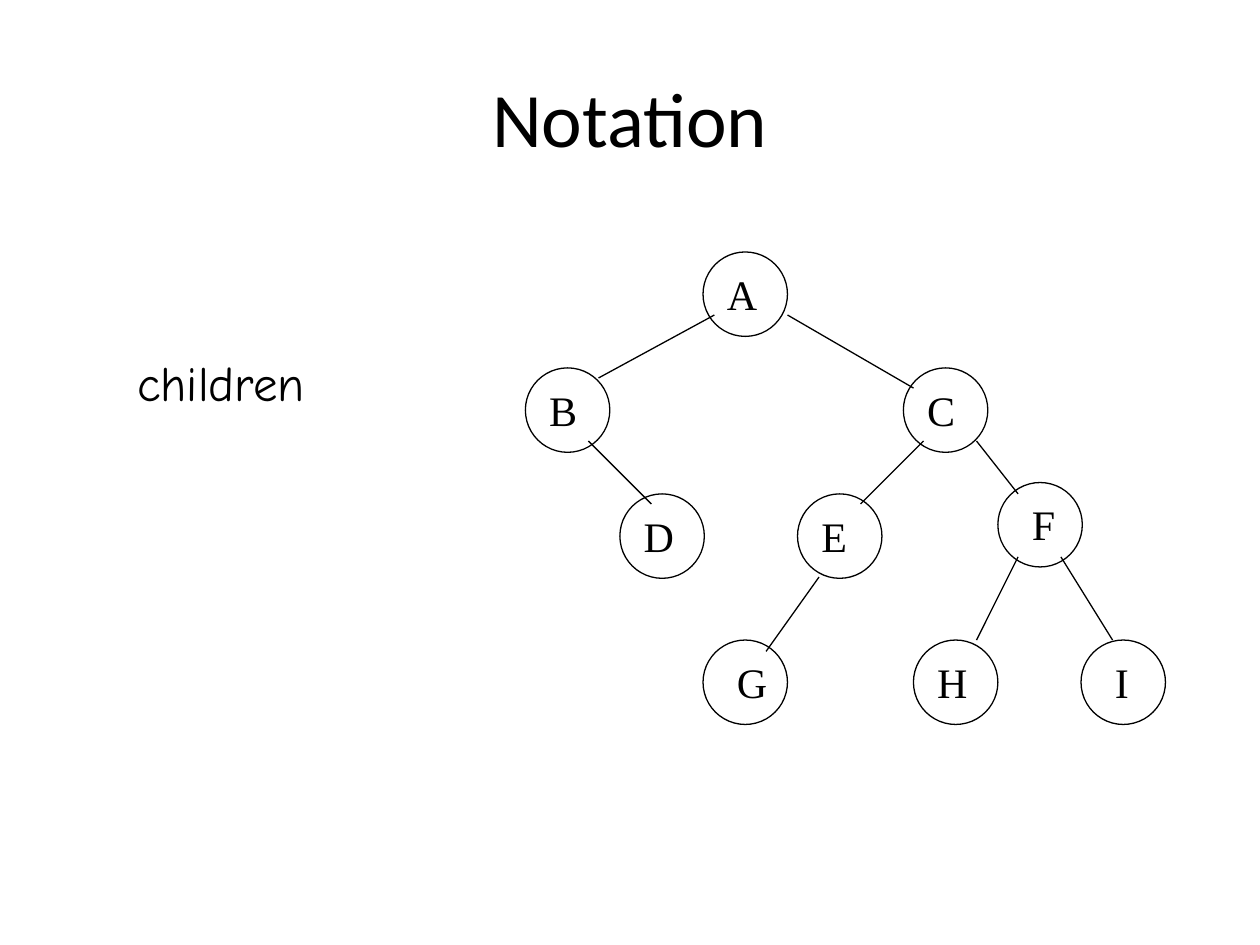
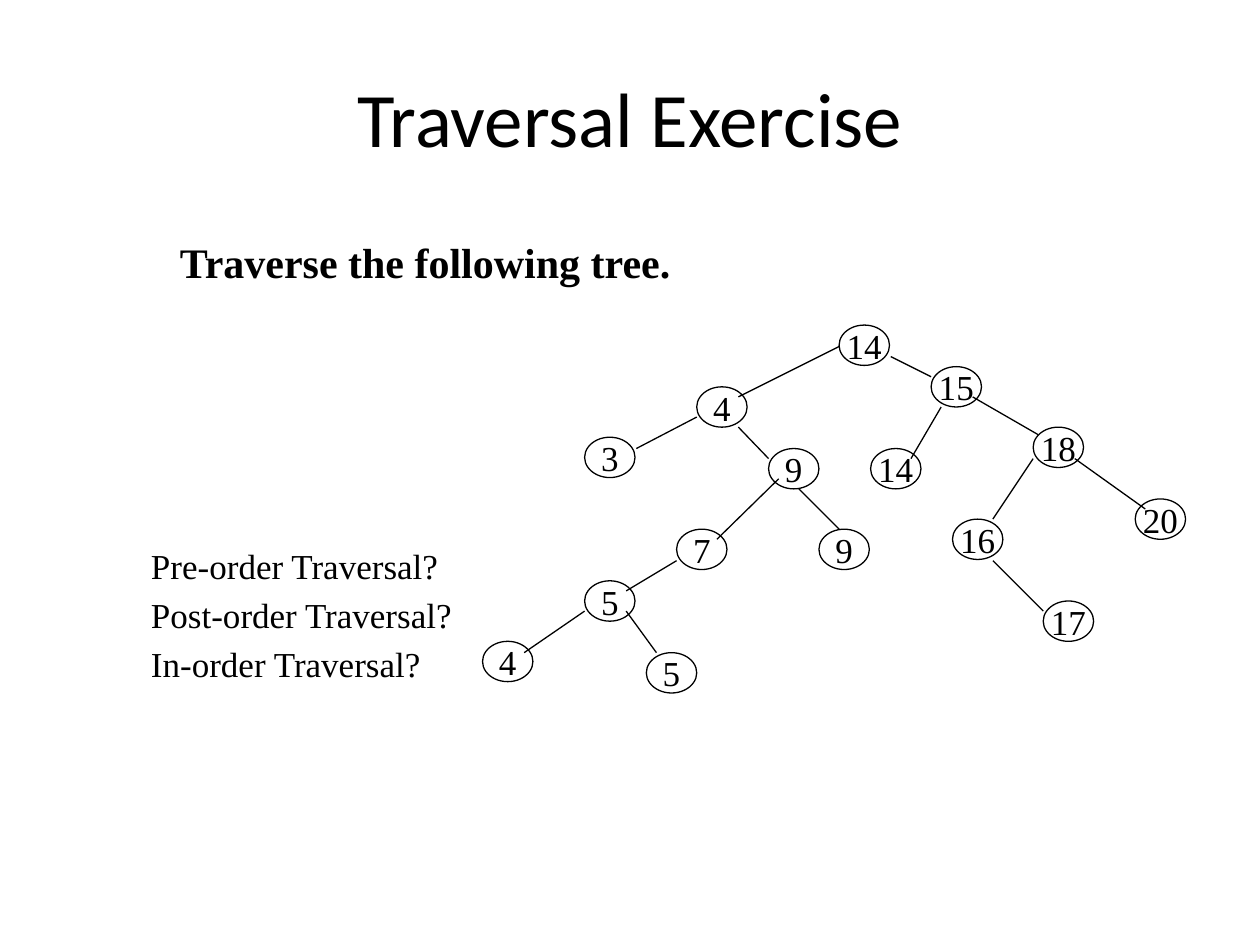
from pptx import Presentation
from pptx.dml.color import RGBColor
from pptx.enum import shapes, text
from pptx.oxml import xmlchemy
from pptx.util import Inches, Pt

BLACK = RGBColor(0, 0, 0)
WHITE = RGBColor(255, 255, 255)
SERIF = "Times New Roman"
LEFT, CENTER = text.PP_ALIGN.LEFT, text.PP_ALIGN.CENTER
TOP, MIDDLE = text.MSO_ANCHOR.TOP, text.MSO_ANCHOR.MIDDLE


def write(sp, lines, size, font=SERIF, align=LEFT, anchor=TOP, bold=False,
          wrap=False, before=0, spacing=1.0):
    tf = sp.text_frame
    tf.word_wrap = wrap
    tf.vertical_anchor = anchor
    tf.margin_left = tf.margin_right = Inches(0.1)
    tf.margin_top = tf.margin_bottom = Inches(0.05)
    for i, line in enumerate(lines):
        p = tf.paragraphs[0] if i == 0 else tf.add_paragraph()
        p.alignment = align
        p.space_before = Pt(before)
        p.line_spacing = spacing
        r = p.add_run()
        r.text = line
        r.font.size = Pt(size)
        r.font.name = font
        r.font.bold = bold
        r.font.color.rgb = BLACK


def add_edges(s, edges):
    for edge in edges:
        ends = [Inches(v) for v in edge]
        line = s.shapes.add_connector(shapes.MSO_CONNECTOR.STRAIGHT, *ends)
        line.line.color.rgb = BLACK
        line.line.width = Pt(0.75)
        line._element.spPr.append(xmlchemy.OxmlElement("a:effectLst"))


prs = Presentation()
prs.slide_width, prs.slide_height = Inches(10), Inches(7.5)

slides = []
for title in ["Notation", "Traversal Exercise"]:
    s = prs.slides.add_slide(prs.slide_layouts[6])
    sp = s.shapes.add_textbox(Inches(0.5), Inches(0.3), Inches(9), Inches(1.25))
    write(sp, [title], 44, "Calibri", CENTER, MIDDLE, wrap=True)
    slides.append(s)
notation, exercise = slides

add_edges(notation, [
    (5.67, 2.5, 4.75, 3),
    (6.25, 2.5, 7.25, 3.08),
    (4.67, 3.5, 5.17, 4),
    (7.33, 3.5, 6.83, 4),
    (7.75, 3.5, 8.08, 3.92),
    (6.5, 4.58, 6.08, 5.17),
    (8.08, 4.42, 7.75, 5.08),
    (8.42, 4.42, 8.83, 5.08),
])
letters = [
    ("A", 5.58, 2, 0.09, 0.44),
    ("B", 4.17, 2.92, 0.09, 0.42),
    ("C", 7.17, 2.92, 0.09, 0.42),
    ("D", 4.92, 3.92, 0.09, 0.44),
    ("E", 6.33, 3.92, 0.09, 0.4),
    ("F", 7.92, 3.83, 0.17, 0.38),
    ("G", 5.58, 5.08, 0.17, 0.44),
    ("H", 7.25, 5.08, 0.09, 0.44),
    ("I", 8.58, 5.08, 0.17, 0.31),
]
for letter, x, y, indent, width in letters:
    sp = notation.shapes.add_shape(shapes.MSO_SHAPE.OVAL, Inches(x), Inches(y),
                                   Inches(0.67), Inches(0.67))
    sp.shadow.inherit = False
    sp.fill.background()
    sp.line.color.rgb = BLACK
    sp.line.width = Pt(0.75)
    label = notation.shapes.add_textbox(Inches(x + indent), Inches(y + 0.08),
                                        Inches(width), Inches(0.5))
    write(label, [letter], 24)

sp = notation.shapes.add_textbox(Inches(0.99), Inches(2.75), Inches(1.54), Inches(0.57))
write(sp, ["children"], 28, "Comic Neue")

numbers = [
    (14, 6.66, 2.58),
    (4, 5.53, 3.07), (15, 7.39, 2.91),
    (3, 4.64, 3.47), (9, 6.1, 3.56), (14, 6.91, 3.56), (18, 8.2, 3.39),
    (7, 5.37, 4.2), (9, 6.5, 4.2), (16, 7.56, 4.12), (20, 9.01, 3.96),
    (5, 4.64, 4.61), (17, 8.28, 4.77),
    (4, 3.83, 5.09), (5, 5.13, 5.18),
]
for number, x, y in numbers:
    sp = exercise.shapes.add_shape(shapes.MSO_SHAPE.OVAL, Inches(x), Inches(y),
                                   Inches(0.4), Inches(0.32))
    sp.shadow.inherit = False
    sp.fill.solid()
    sp.fill.fore_color.rgb = WHITE
    sp.line.color.rgb = BLACK
    sp.line.width = Pt(0.75)
    write(sp, [str(number)], 20, align=CENTER, anchor=MIDDLE)
add_edges(exercise, [
    (6.66, 2.75, 5.86, 3.15),
    (7.07, 2.83, 7.39, 2.99),
    (5.53, 3.31, 5.05, 3.56),
    (5.86, 3.39, 6.1, 3.64),
    (7.47, 3.23, 7.23, 3.64),
    (7.72, 3.15, 8.24, 3.45),
    (6.18, 3.8, 5.69, 4.28),
    (6.34, 3.88, 6.66, 4.2),
    (8.2, 3.64, 7.88, 4.12),
    (8.53, 3.64, 9.09, 4.04),
    (5.37, 4.45, 4.97, 4.69),
    (7.88, 4.45, 8.28, 4.85),
    (4.64, 4.85, 4.16, 5.18),
    (4.97, 4.85, 5.21, 5.18),
])

sp = exercise.shapes.add_textbox(Inches(1.1), Inches(4.33), Inches(2.67), Inches(1.15))
write(sp, ["Pre-order Traversal?", "Post-order Traversal?", "In-order Traversal?"],
      20, anchor=MIDDLE, wrap=True, before=8.8, spacing=0.8)

sp = exercise.shapes.add_textbox(Inches(1.33), Inches(1.83), Inches(5.92), Inches(0.5))
write(sp, ["Traverse the following tree."], 24, bold=True, wrap=True, before=15)

prs.save("out.pptx")
